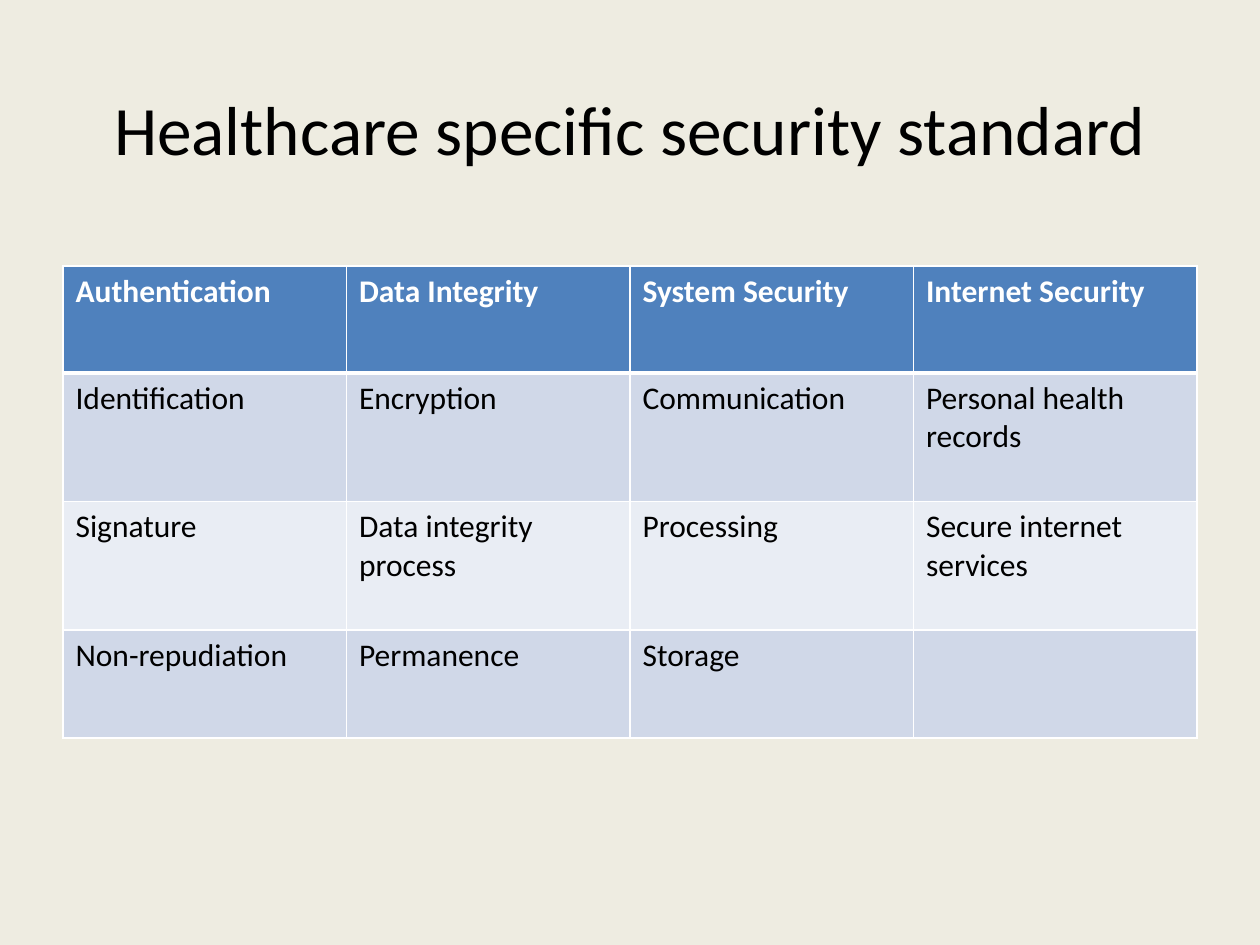
"""Build a slide with a table of healthcare security standards."""
from lxml.etree import SubElement
from pptx import Presentation
from pptx.dml.color import RGBColor
from pptx.enum.text import MSO_ANCHOR, PP_ALIGN
from pptx.oxml.ns import qn
from pptx.util import Inches, Pt

COLORS = {
    "background": "EEECE1",
    "header": "4F81BD",
    "odd_row": "D0D8E8",
    "even_row": "E9EDF4",
    "white": "FFFFFF",
    "black": "000000",
}
ROWS = [
    ["Authentication", "Data Integrity", "System Security", "Internet Security"],
    ["Identification", "Encryption", "Communication", "Personal health records"],
    ["Signature", "Data integrity process", "Processing", "Secure internet services"],
    ["Non-repudiation", "Permanence", "Storage", ""],
]
ROW_HEIGHTS = [0.85, 1.02, 1.02, 0.86]
ROW_FILLS = ["header", "odd_row", "even_row", "odd_row"]


def write_text(text_frame, text, size, color, bold=False, align=PP_ALIGN.LEFT):
    paragraph = text_frame.paragraphs[0]
    paragraph.alignment = align
    font = paragraph.font
    if text:
        run = paragraph.add_run()
        run.text = text
        font = run.font
    font.name = "Calibri"
    font.size = Pt(size)
    font.bold = bold
    font.color.rgb = RGBColor.from_string(COLORS[color])


def add_border(cell, side, width):
    properties = cell._tc.get_or_add_tcPr()
    line = SubElement(properties, qn(f"a:ln{side}"), w=str(Pt(width)))
    fill = SubElement(line, qn("a:solidFill"))
    SubElement(fill, qn("a:srgbClr"), val=COLORS["white"])


presentation = Presentation()
presentation.slide_width = Inches(10)
presentation.slide_height = Inches(7.5)
slide = presentation.slides.add_slide(presentation.slide_layouts[5])
slide.background.fill.solid()
slide.background.fill.fore_color.rgb = RGBColor.from_string(COLORS["background"])

title = slide.shapes.title
title.left, title.top = Inches(0.5), Inches(0.39)
title.width, title.height = Inches(9), Inches(1.25)
title.text_frame.vertical_anchor = MSO_ANCHOR.MIDDLE
write_text(title.text_frame, "Healthcare specific security standard", 39.6, "black",
           align=PP_ALIGN.CENTER)

table = slide.shapes.add_table(
    len(ROWS), len(ROWS[0]), Inches(0.5), Inches(2.11), Inches(9), Inches(sum(ROW_HEIGHTS))
).table
for row_index, texts in enumerate(ROWS):
    is_header = row_index == 0
    table.rows[row_index].height = Inches(ROW_HEIGHTS[row_index])
    for column_index, text in enumerate(texts):
        cell = table.cell(row_index, column_index)
        write_text(cell.text_frame, text, 18, "white" if is_header else "black", bold=is_header)
        for side in "LRTB":
            header_edge = (is_header and side == "B") or (row_index == 1 and side == "T")
            add_border(cell, side, 3 if header_edge else 1)
        cell.fill.solid()
        cell.fill.fore_color.rgb = RGBColor.from_string(COLORS[ROW_FILLS[row_index]])

presentation.save("out.pptx")
